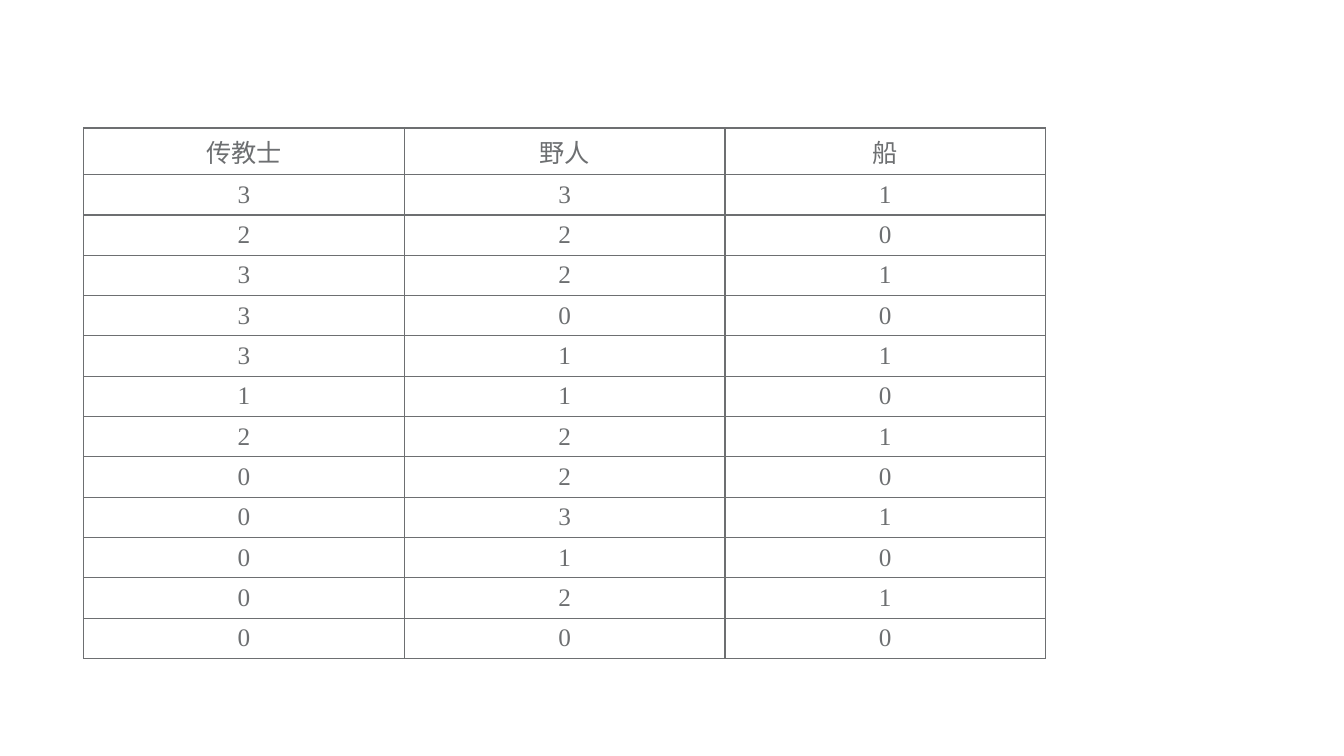
"""Build a slide with the river-crossing state table."""
from lxml import etree
from pptx import Presentation
from pptx.dml.color import RGBColor
from pptx.enum.text import MSO_ANCHOR, PP_ALIGN
from pptx.oxml.ns import qn
from pptx.util import Inches, Pt

HEADINGS = ("传教士", "野人", "船")
STATES = [
    (3, 3, 1),
    (2, 2, 0),
    (3, 2, 1),
    (3, 0, 0),
    (3, 1, 1),
    (1, 1, 0),
    (2, 2, 1),
    (0, 2, 0),
    (0, 3, 1),
    (0, 1, 0),
    (0, 2, 1),
    (0, 0, 0),
]

GREY = RGBColor(0x6D, 0x6F, 0x71)
FONT = "Times New Roman"
CENTER = PP_ALIGN.CENTER
MIDDLE = MSO_ANCHOR.MIDDLE
LEFT, TOP = Inches(0.83), Inches(1.27)
COLUMN_WIDTH, ROW_HEIGHT = Inches(3.18), Inches(0.4)
BORDER_WIDTH = Pt(1)


def add_borders(cell):
    """Draw a thin grey line on all four sides of a cell."""
    properties = cell._tc.get_or_add_tcPr()
    for side in ("a:lnL", "a:lnR", "a:lnT", "a:lnB"):
        line = etree.SubElement(properties, qn(side), w=str(BORDER_WIDTH))
        fill = etree.SubElement(line, qn("a:solidFill"))
        etree.SubElement(fill, qn("a:srgbClr"), val=str(GREY))


def fill_cell(cell, value):
    """Write a centred value into a bordered, unfilled cell."""
    add_borders(cell)
    cell.fill.background()
    cell.margin_left = cell.margin_right = Inches(0.13)
    cell.margin_top = cell.margin_bottom = Inches(0.05)
    cell.vertical_anchor = MIDDLE
    cell.text = str(value)
    paragraph = cell.text_frame.paragraphs[0]
    paragraph.alignment = CENTER
    paragraph.font.name = FONT
    paragraph.font.size = Pt(18)
    paragraph.font.color.rgb = GREY


def main():
    """Create the presentation and save it."""
    presentation = Presentation()
    presentation.slide_width = Inches(13.33)
    presentation.slide_height = Inches(7.5)
    slide = presentation.slides.add_slide(presentation.slide_layouts[6])

    rows = [HEADINGS, *STATES]
    states_table = slide.shapes.add_table(
        len(rows), len(HEADINGS), LEFT, TOP,
        COLUMN_WIDTH * len(HEADINGS), ROW_HEIGHT * len(rows),
    ).table
    states_table.first_row = False
    states_table.horz_banding = False
    for row_index, row in enumerate(rows):
        for column_index, value in enumerate(row):
            fill_cell(states_table.cell(row_index, column_index), value)

    presentation.save("out.pptx")


if __name__ == "__main__":
    main()
